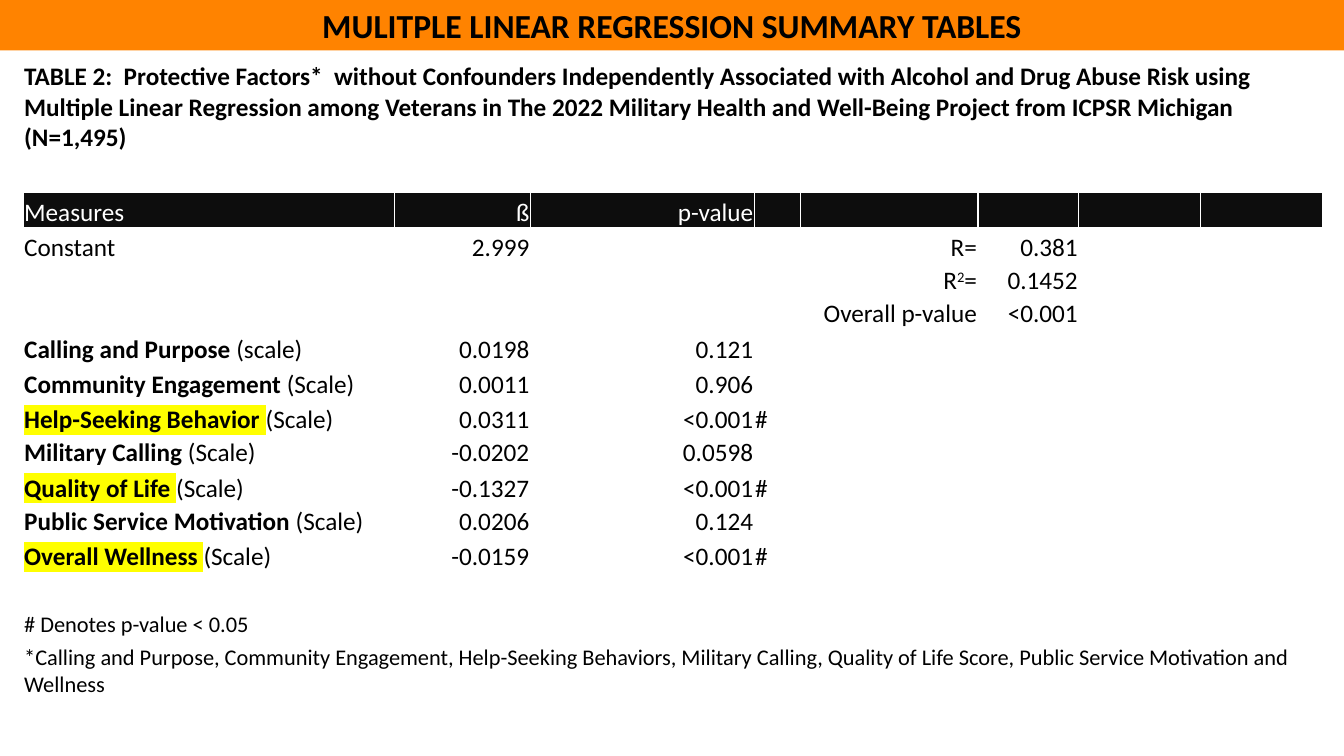
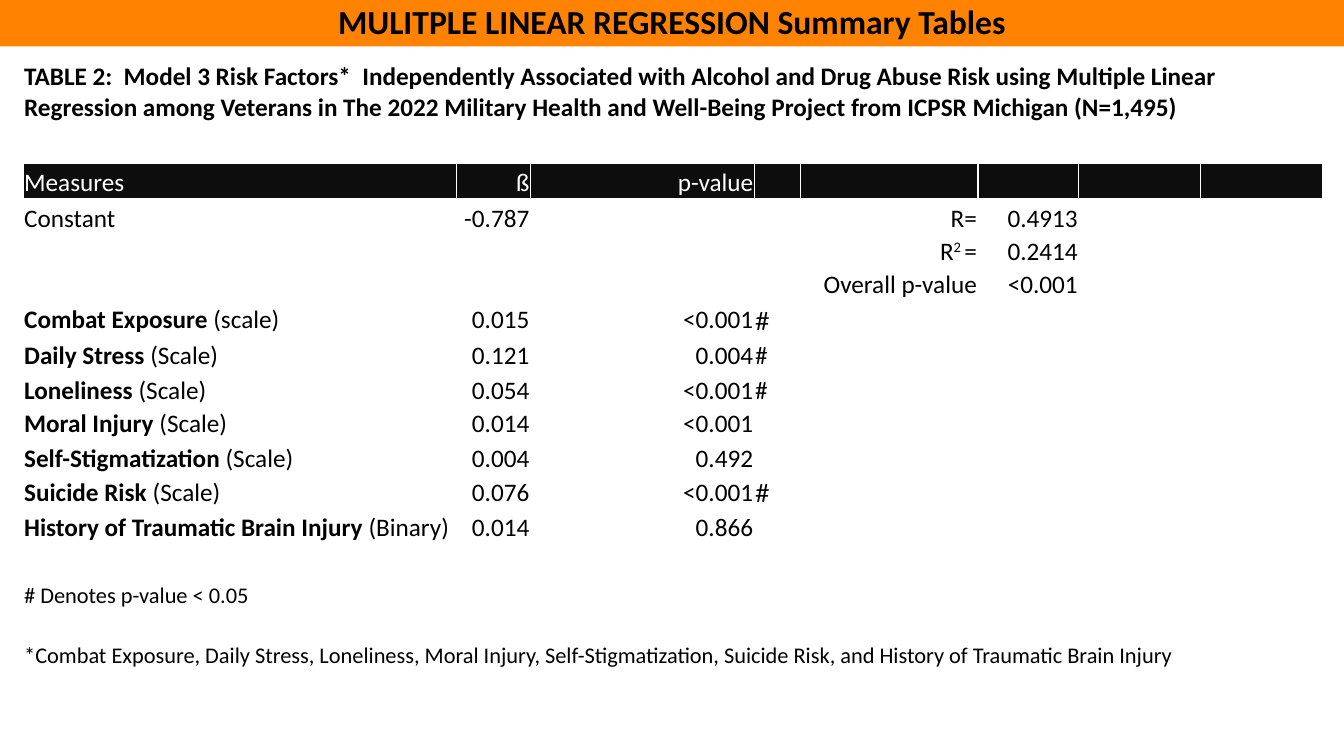
"""Build two slides of multiple linear regression summary tables."""
from dataclasses import dataclass

from lxml.etree import SubElement
from pptx import Presentation
from pptx.dml.color import RGBColor as Rgb
from pptx.enum.shapes import MSO_SHAPE as Preset
from pptx.enum.text import MSO_ANCHOR as Anchor, MSO_AUTO_SIZE as AutoSize, PP_ALIGN as Align
from pptx.oxml.ns import qn
from pptx.util import Inches, Pt


@dataclass(frozen=True)
class Theme:
    font: str = "Calibri"
    alt_font: str = "Lato"
    band: str = "FF8300"
    header: str = "0D0D0D"
    ink: str = "000000"
    paper: str = "FFFFFF"
    marker: str = "FFFF00"
    title_size: int = 24
    body_size: int = 18
    note_size: int = 16


@dataclass(frozen=True)
class Span:
    text: str
    bold: bool = False
    size: int = Theme.body_size
    color: str = Theme.ink
    font: str = Theme.font
    highlight: bool = False
    raised: bool = False


@dataclass(frozen=True)
class Factor:
    name: str
    kind: str
    beta: str
    p_value: str
    mark: str = ""
    highlight: bool = False
    mark_font: str = Theme.font


@dataclass(frozen=True)
class Model:
    title: str
    band_top: float
    caption: str
    caption_height: float
    measure_width: float
    constant: str
    r: str
    r_squared: str
    square: str
    factors: tuple
    footnote: str


THEME = Theme()
SLIDE_W, SLIDE_H = 13.33, 7.5
BAND_H = 0.5
TABLE_LEFT, TABLE_TOP = 0.23, 0.6
MEASURE_AND_BETA = 5.03
OTHER_COLUMNS = [2.22, 0.46, 1.76, 1, 1.21, 1.21]
TALL, SHORT = 0.35, 0.33
BODY_ROWS = [TALL, TALL, SHORT, SHORT, TALL, TALL, TALL, SHORT,
             TALL, SHORT, TALL, SHORT, SHORT, 0.59]
MEASURE, BETA, P_VALUE, MARK, STAT_LABEL, STAT_VALUE = range(6)
FIRST_FACTOR_ROW = 5

PROTECTIVE = Model(
    title="MULITPLE LINEAR REGRESSION SUMMARY TABLES",
    band_top=0,
    caption="TABLE 2:  Protective Factors*  without Confounders Independently Associated with "
            "Alcohol and Drug Abuse Risk using Multiple Linear Regression among Veterans in "
            "The 2022 Military Health and Well-Being Project from ICPSR Michigan (N=1,495)",
    caption_height=1.31,
    measure_width=3.68,
    constant="2.999",
    r="0.381",
    r_squared="0.1452",
    square="2",
    factors=(
        Factor("Calling and Purpose ", "(scale)", "0.0198", "0.121"),
        Factor("Community Engagement ", "(Scale)", "0.0011", "0.906"),
        Factor("Help-Seeking Behavior ", "(Scale)", "0.0311", "<0.001", "#", True),
        Factor("Military Calling ", "(Scale)", "-0.0202", "0.0598"),
        Factor("Quality of Life ", "(Scale)", "-0.1327", "<0.001", "#", True),
        Factor("Public Service Motivation ", "(Scale)", "0.0206", "0.124"),
        Factor("Overall Wellness ", "(Scale)", "-0.0159", "<0.001", "#", True),
    ),
    footnote="*Calling and Purpose, Community Engagement, Help-Seeking Behaviors, Military "
             "Calling, Quality of Life Score, Public Service Motivation and Wellness",
)

RISK = Model(
    title="MULITPLE LINEAR REGRESSION Summary Tables",
    band_top=-0.04,
    caption="TABLE 2:  Model 3 Risk Factors*  Independently Associated with Alcohol and Drug "
            "Abuse Risk using Multiple Linear Regression among Veterans in The 2022 Military "
            "Health and Well-Being Project from ICPSR Michigan (N=1,495)",
    caption_height=1.02,
    measure_width=4.3,
    constant="-0.787",
    r="0.4913",
    r_squared="0.2414",
    square="2 ",
    factors=(
        Factor("Combat Exposure ", "(scale)", "0.015", "<0.001", "#", mark_font=THEME.alt_font),
        Factor("Daily Stress ", "(Scale)", "0.121", "0.004", "#"),
        Factor("Loneliness ", "(Scale)", "0.054", "<0.001", "#"),
        Factor("Moral Injury ", "(Scale)", "0.014", "<0.001"),
        Factor("Self-Stigmatization ", "(Scale)", "0.004", "0.492"),
        Factor("Suicide Risk ", "(Scale)", "0.076", "<0.001", "#", mark_font=THEME.alt_font),
        Factor("History of Traumatic Brain Injury ", "(Binary)", "0.014", "0.866"),
    ),
    footnote="*Combat Exposure, Daily Stress, Loneliness, Moral Injury, Self-Stigmatization, "
             "Suicide Risk, and History of Traumatic Brain Injury",
)


def write(paragraph, spans, align=Align.LEFT):
    """Fill a paragraph with formatted spans."""
    paragraph.alignment = align
    for span in spans:
        run = paragraph.add_run()
        run.text = span.text
        run.font.name = span.font
        run.font.size = Pt(span.size)
        run.font.bold = span.bold
        run.font.color.rgb = Rgb.from_string(span.color)
        properties = run._r.get_or_add_rPr()
        if span.raised:
            properties.set("baseline", "30000")
        if span.highlight:
            highlight = SubElement(properties, qn("a:highlight"))
            SubElement(highlight, qn("a:srgbClr"), val=THEME.marker)
            properties.find(qn("a:solidFill")).addnext(highlight)


def add_band(slide, title, top):
    """Draw the full-width title band."""
    band = slide.shapes.add_shape(
        Preset.RECTANGLE, 0, Inches(top), Inches(SLIDE_W), Inches(BAND_H))
    band.shadow.inherit = False
    band.fill.solid()
    band.fill.fore_color.rgb = Rgb.from_string(THEME.band)
    band.line.fill.background()
    frame = band.text_frame
    frame.word_wrap = True
    frame.auto_size = AutoSize.SHAPE_TO_FIT_TEXT
    write(frame.paragraphs[0], [Span(title, bold=True, size=THEME.title_size)], Align.CENTER)


def style_cell(cell, fill):
    """Give a cell its insets, white borders and fill."""
    cell.margin_left = cell.margin_right = cell.margin_top = Inches(0.01)
    cell.margin_bottom = 0
    cell.vertical_anchor = Anchor.BOTTOM
    properties = cell._tc.get_or_add_tcPr()
    for side in ("lnL", "lnR", "lnT", "lnB"):
        border = SubElement(properties, qn(f"a:{side}"), w=str(Pt(1)))
        SubElement(SubElement(border, qn("a:solidFill")), qn("a:srgbClr"), val=THEME.paper)
    cell.fill.solid()
    cell.fill.fore_color.rgb = Rgb.from_string(fill)


def add_grid(slide, widths, heights):
    """Add an empty styled table whose second row is the header."""
    grid = slide.shapes.add_table(
        len(heights), len(widths), Inches(TABLE_LEFT), Inches(TABLE_TOP),
        Inches(sum(widths)), Inches(sum(heights))).table
    grid.first_row = grid.horz_banding = False
    for column, width in zip(grid.columns, widths):
        column.width = Inches(width)
    for index, (row, height) in enumerate(zip(grid.rows, heights)):
        row.height = Inches(height)
        for cell in row.cells:
            style_cell(cell, THEME.header if index == 1 else THEME.paper)
    return grid


def add_regression_table(slide, model):
    """Add the caption, coefficients, fit statistics and notes as one table."""
    widths = [model.measure_width, MEASURE_AND_BETA - model.measure_width, *OTHER_COLUMNS]
    grid = add_grid(slide, widths, [model.caption_height, *BODY_ROWS])
    last_row, last_column = len(grid.rows) - 1, len(widths) - 1

    def put(row, column, *spans):
        """Write spans in a cell, numbers and labels of figures to the right."""
        align = Align.LEFT if column in (MEASURE, MARK) else Align.RIGHT
        write(grid.cell(row, column).text_frame.paragraphs[0], spans, align)

    for row in (0, last_row):
        grid.cell(row, 0).merge(grid.cell(row, last_column))
    grid.cell(0, 0).vertical_anchor = Anchor.TOP
    put(0, MEASURE, Span(model.caption, bold=True))

    for column, heading in enumerate(("Measures", "ß", "p-value")):
        put(1, column, Span(heading, color=THEME.paper))

    put(2, MEASURE, Span("Constant"))
    put(2, BETA, Span(model.constant))
    statistics = (
        ([Span("R=")], model.r),
        ([Span("R"), Span(model.square, raised=True), Span("=")], model.r_squared),
        ([Span("Overall p-value")], "<0.001"),
    )
    for row, (label, value) in enumerate(statistics, start=2):
        put(row, STAT_LABEL, *label)
        put(row, STAT_VALUE, Span(value))

    for row, factor in enumerate(model.factors, start=FIRST_FACTOR_ROW):
        put(row, MEASURE, Span(factor.name, bold=True, highlight=factor.highlight),
            Span(factor.kind))
        put(row, BETA, Span(factor.beta))
        put(row, P_VALUE, Span(factor.p_value))
        if factor.mark:
            put(row, MARK, Span(factor.mark, font=factor.mark_font))

    put(last_row - 1, MEASURE, Span("# Denotes p-value < 0.05", size=THEME.note_size))
    put(last_row, MEASURE, Span(model.footnote, size=THEME.note_size))


def main():
    """Build and save the presentation."""
    deck = Presentation()
    deck.slide_width, deck.slide_height = Inches(SLIDE_W), Inches(SLIDE_H)
    for model in (PROTECTIVE, RISK):
        slide = deck.slides.add_slide(deck.slide_layouts[6])
        add_band(slide, model.title, model.band_top)
        add_regression_table(slide, model)
    deck.save("out.pptx")


if __name__ == "__main__":
    main()
